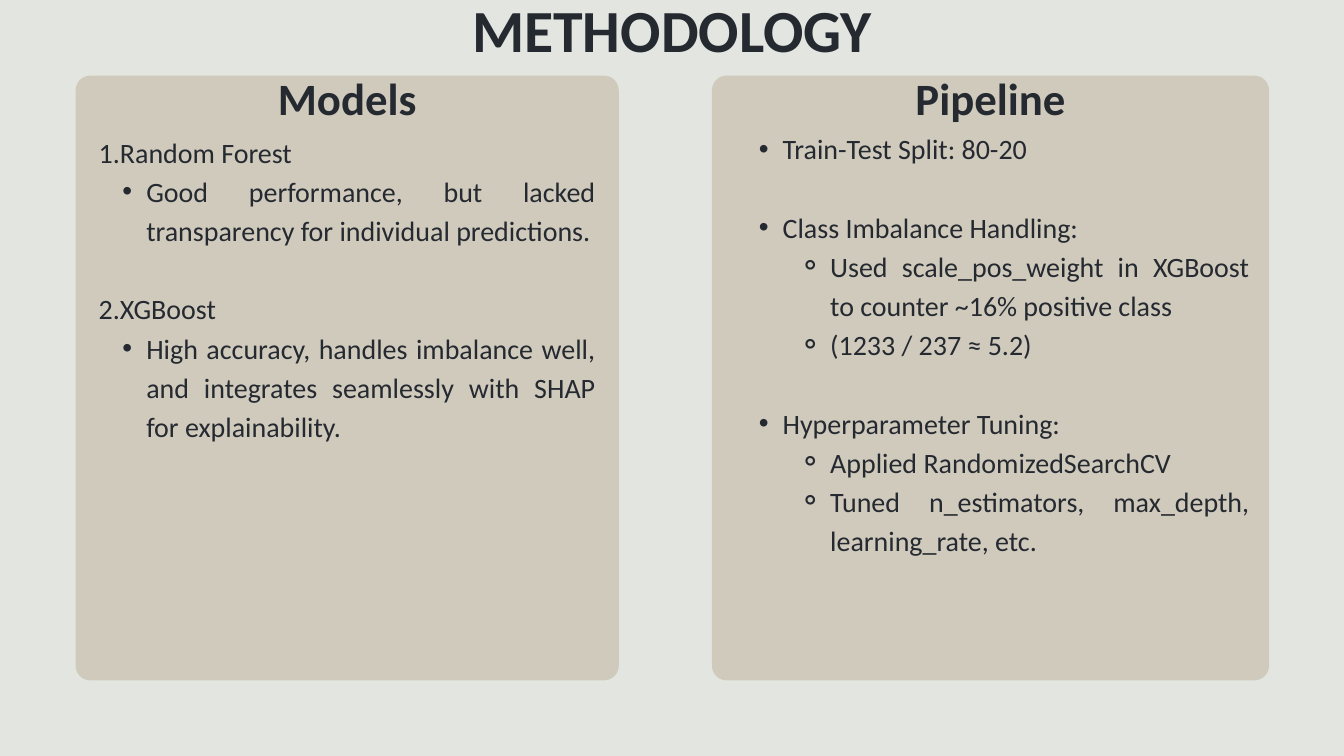
import pptx
import pptx.util
import pptx.dml.color
import pptx.enum.shapes
import pptx.enum.text
import pptx.oxml
import pptx.oxml.ns
import lxml.etree

INK = pptx.dml.color.RGBColor(0x25, 0x29, 0x30)
SAND = pptx.dml.color.RGBColor(0xC0, 0xB3, 0xA0)
MIST = pptx.dml.color.RGBColor(0xE3, 0xE6, 0xE0)
ALIGN = pptx.enum.text.PP_ALIGN
SCALE = 9525
RADIUS = 21
GAP = 42
MARKS = {1: ("•", 68, -34), 2: ("⚬", 136, -45)}

MODELS = [
    (0, "1.Random Forest"),
    (1, "Good performance, but lacked transparency for individual predictions."),
    (0, "2.XGBoost"),
    (1, "High accuracy, handles imbalance well, and integrates seamlessly "
        "with SHAP for explainability."),
]
STEPS = [
    (1, "Train-Test Split: 80-20"),
    (1, "Class Imbalance Handling:"),
    (2, "Used scale_pos_weight in XGBoost to counter ~16% positive class"),
    (2, "(1233 / 237 ≈ 5.2)"),
    (1, "Hyperparameter Tuning:"),
    (2, "Applied RandomizedSearchCV"),
    (2, "Tuned n_estimators, max_depth, learning_rate, etc."),
]


def px(num):
    """Turn px into EMU."""
    return pptx.util.Emu(num * SCALE)


def place(shape, box):
    """Move a placeholder to a box and clear its insets."""
    shape.left, shape.top, shape.width, shape.height = map(px, box)
    frame = shape.text_frame
    frame.margin_left = frame.margin_right = 0
    frame.margin_top = frame.margin_bottom = 0
    frame.word_wrap = True
    frame.auto_size = pptx.enum.text.MSO_AUTO_SIZE.NONE
    frame.vertical_anchor = pptx.enum.text.MSO_ANCHOR.TOP
    return frame


def style(para, size, line, align, bold=False):
    """Set the look of one paragraph and its runs."""
    para.alignment = align
    para.line_spacing = pptx.util.Pt(line)
    para.space_before = para.space_after = pptx.util.Pt(0)
    for run in para.runs:
        run.font.name = "Calibri"
        run.font.size = pptx.util.Pt(size)
        run.font.bold = bold
        run.font.color.rgb = INK


def mark(para, level):
    """Give a paragraph the bullet and indent of its level."""
    props = para._p.get_or_add_pPr()
    char, left, hang = MARKS.get(level, ("", 0, 0))
    props.set("marL", str(px(left)))
    props.set("indent", str(px(hang)))
    tag = "a:buChar" if char else "a:buNone"
    node = lxml.etree.SubElement(props, pptx.oxml.ns.qn(tag))
    if char:
        node.set("char", char)


def head(shape, box, text, size):
    """Write a bold centred heading."""
    frame = place(shape, box)
    frame.text = text
    style(frame.paragraphs[0], size, size * 0.8, ALIGN.CENTER, True)


def items(shape, box, rows):
    """Write a list with a gap before each new top item."""
    frame = place(shape, box)
    frame.text = "\n".join(text for _, text in rows)
    top = rows[0][0]
    for num, (para, (level, _)) in enumerate(zip(frame.paragraphs, rows)):
        para.level = level
        style(para, 30, 42, ALIGN.JUSTIFY)
        if num and level == top:
            para.space_before = pptx.util.Pt(GAP)
        mark(para, level)


def card(slide, box):
    """Draw a sheer rounded panel behind the text."""
    kind = pptx.enum.shapes.MSO_SHAPE.ROUNDED_RECTANGLE
    shape = slide.shapes.add_shape(kind, *map(px, box))
    shape.adjustments[0] = RADIUS / min(box[2:])
    shape.shadow.inherit = False
    shape.line.fill.background()
    shape.fill.solid()
    shape.fill.fore_color.rgb = SAND
    tint = shape.element.spPr.find(".//" + pptx.oxml.ns.qn("a:srgbClr"))
    lxml.etree.SubElement(tint, pptx.oxml.ns.qn("a:alpha")).set("val", "54000")
    shape.element.getparent().insert(2, shape.element)


def panel(slide, box, first, title, rows, inset):
    """Build a panel from its card, heading and list."""
    left, top, width, height = box
    dx, dy, wide, tall = inset
    card(slide, box)
    holders = {p.placeholder_format.idx: p for p in slide.placeholders}
    head(holders[first], (left, top + 19, width, 58), title, 48)
    items(holders[first + 1], (left + dx, top + dy, wide, tall), rows)


def main():
    """Build and save the deck."""
    deck = pptx.Presentation()
    deck.slide_width, deck.slide_height = px(1920), px(1080)
    slide = deck.slides.add_slide(deck.slide_layouts[4])
    slide.background.fill.solid()
    slide.background.fill.fore_color.rgb = MIST
    head(slide.shapes.title, (412, 24, 1096, 78), "METHODOLOGY", 64)
    panel(slide, (108, 108, 776, 864), 1, "Models", MODELS,
          (33, 77, 710, 616))
    panel(slide, (1017, 108, 796, 864), 3, "Pipeline", STEPS,
          (33, 72, 735, 728))
    deck.save("out.pptx")


if __name__ == "__main__":
    main()
